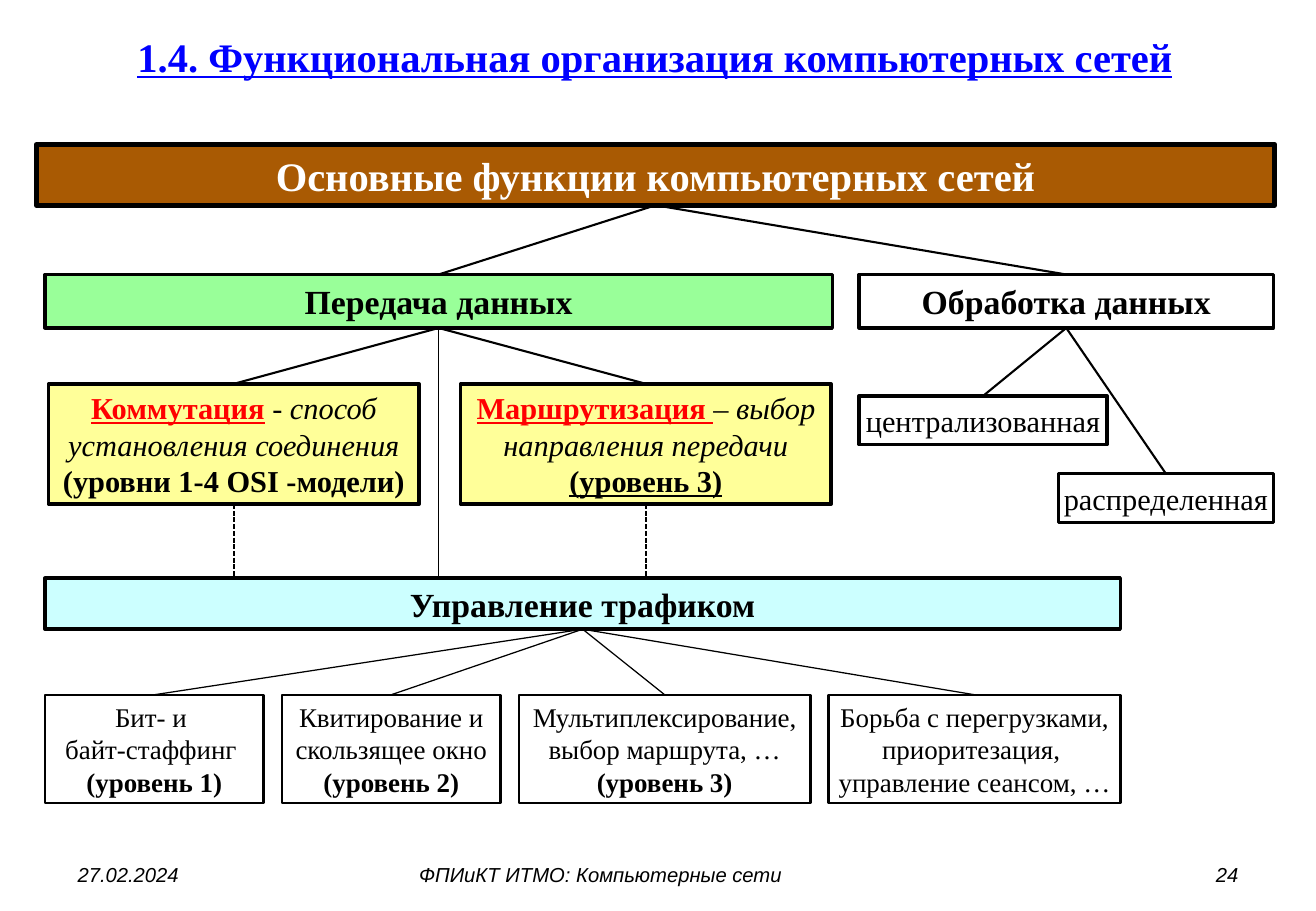
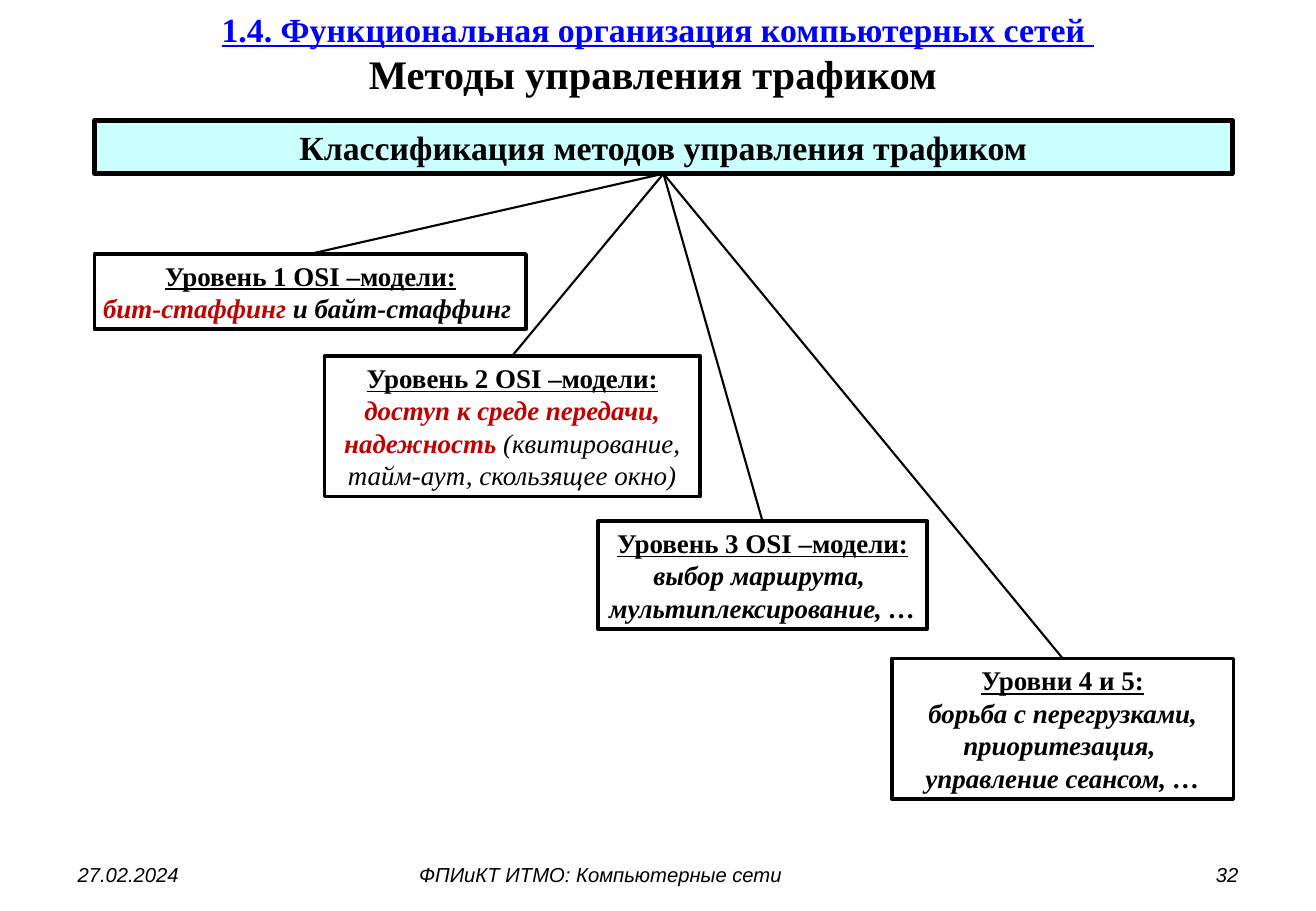
"""Builds two slides on the functional organisation of computer networks."""
from lxml.etree import SubElement
from pptx import Presentation
from pptx.dml.color import RGBColor
from pptx.enum.dml import MSO_LINE
from pptx.enum.shapes import MSO_CONNECTOR, MSO_SHAPE
from pptx.enum.text import MSO_ANCHOR, PP_ALIGN
from pptx.oxml.ns import qn
from pptx.util import Pt

PX = 9144
RECTANGLE = MSO_SHAPE.RECTANGLE
STRAIGHT = MSO_CONNECTOR.STRAIGHT
DASH = MSO_LINE.SQUARE_DOT
MIDDLE = MSO_ANCHOR.MIDDLE
LEFT, CENTER, RIGHT = PP_ALIGN.LEFT, PP_ALIGN.CENTER, PP_ALIGN.RIGHT
SERIF, SANS = "Times New Roman", "Arial"
color = RGBColor.from_string
BLACK, WHITE, BLUE, RED, DARK_RED = "000000", "FFFFFF", "0000FF", "FF0000", "C00000"
BROWN, GREEN, YELLOW, CYAN = "A95A03", "99FF99", "FFFF99", "CCFFFF"
SECTION = "1.4. Функциональная организация компьютерных сетей"


def box(slide, area, paragraphs, size=16, fill=None, line=0, align=CENTER,
        font=SERIF, inset=(4, 4)):
    """Adds text made of (text, style letters, colour) runs, framed if line is set."""
    area = [value * PX for value in area]
    if line:
        shape = slide.shapes.add_shape(RECTANGLE, *area)
        shape.shadow.inherit = False
        shape.line.color.rgb = color(BLACK)
        shape.line.width = Pt(line)
        if fill:
            shape.fill.solid()
            shape.fill.fore_color.rgb = color(fill)
        else:
            shape.fill.background()
    else:
        shape = slide.shapes.add_textbox(*area)
    frame = shape.text_frame
    frame.word_wrap = True
    frame.vertical_anchor = MIDDLE
    frame.margin_left = frame.margin_right = inset[0] * PX
    frame.margin_top = frame.margin_bottom = inset[1] * PX
    for index, runs in enumerate(paragraphs):
        paragraph = frame.add_paragraph() if index else frame.paragraphs[0]
        paragraph.alignment = align
        for text, style, ink in runs:
            run = paragraph.add_run()
            run.text = text
            run.font.name = font
            run.font.size = Pt(size)
            run.font.bold = "b" in style
            run.font.italic = "i" in style
            run.font.underline = "u" in style
            run.font.color.rgb = color(ink)
            if "+" in style:
                run.font.size = Pt(24)
    return shape


def link(slide, parent, child, width=1.25, vertical=False, dash=None):
    """Joins the bottom of the parent to the top of the child."""
    start = parent.left + parent.width // 2
    end = start if vertical else child.left + child.width // 2
    connector = slide.shapes.add_connector(
        STRAIGHT, start, parent.top + parent.height, end, child.top)
    connector.line.color.rgb = color(BLACK)
    connector.line.width = Pt(width)
    if dash:
        connector.line.dash_style = dash
    SubElement(connector._element.spPr, qn("a:effectLst"))


deck = Presentation()
deck.slide_width, deck.slide_height = 1083 * PX, 750 * PX
functions_slide, methods_slide = [
    deck.slides.add_slide(deck.slide_layouts[6]) for _ in range(2)]

for slide, number in ((functions_slide, "24"), (methods_slide, "32")):
    for left, width, text, align in (
            (54, 253, "27.02.2024", LEFT),
            (335, 428, "ФПИиКТ ИТМО: Компьютерные сети", LEFT),
            (776, 253, number, RIGHT)):
        box(slide, (left, 705, width, 30), [[(text, "i", BLACK)]], size=12,
            align=align, font=SANS, inset=(10, 5))

box(functions_slide, (74, 9, 930, 75), [[(SECTION, "bu", BLUE)]], size=24)
root = box(functions_slide, (30, 119, 1019, 50),
           [[("Основные функции компьютерных сетей", "b", WHITE)]],
           size=24, fill=BROWN, line=3)
transfer = box(functions_slide, (37, 226, 648, 44),
               [[("Передача данных", "b", BLACK)]], size=20, fill=GREEN, line=2)
processing = box(functions_slide, (707, 226, 341, 44),
                 [[("Обработка данных", "b", BLACK)]], size=20, line=2)
for branch in (transfer, processing):
    link(functions_slide, root, branch)

for area, text in (((707, 326, 204, 40), "централизованная"),
                   ((871, 390, 177, 40), "распределенная")):
    kind = box(functions_slide, area, [[(text, "", BLACK)]],
               size=18, line=2, inset=(2, 5))
    link(functions_slide, processing, kind)

traffic = box(functions_slide, (37, 476, 885, 42),
              [[("Управление трафиком", "b", BLACK)]], size=20, fill=CYAN, line=2)
link(functions_slide, transfer, traffic, width=1, vertical=True)
for left, term, meaning, level, level_style in (
        (40, "Коммутация", " - способ установления соединения",
         "(уровни 1-4 OSI -модели)", "b"),
        (379, "Маршрутизация ", "– выбор направления передачи",
         "(уровень 3)", "bu")):
    task = box(functions_slide, (left, 316, 305, 99),
               [[(term, "bu", RED), (meaning, "i", BLACK)],
                [(level, level_style, BLACK)]], size=18, fill=YELLOW, line=2)
    link(functions_slide, transfer, task)
    link(functions_slide, task, traffic, width=1, vertical=True, dash=DASH)

left = 37
for width, lines in (
        (180, (("Бит- и ", ""), ("байт-стаффинг ", ""), ("(уровень 1)", "b"))),
        (180, (("Квитирование и", ""), ("скользящее окно", ""), ("(уровень 2)", "b"))),
        (240, (("Мультиплексирование,", ""), ("выбор маршрута, …", ""),
               ("(уровень 3)", "b"))),
        (240, (("Борьба с перегрузками, приоритезация, ", ""),
               ("управление сеансом, …", "")))):
    method = box(functions_slide, (left, 572, width, 89),
                 [[(text, style, BLACK)] for text, style in lines],
                 fill=WHITE, line=1.5)
    link(functions_slide, traffic, method, width=0.75)
    left += width + 15

box(methods_slide, (118, 6, 847, 76),
    [[(SECTION + " ", "bu", BLUE)], [("Методы управления трафиком ", "b+", BLACK)]],
    size=20)
classification = box(methods_slide, (78, 99, 936, 44),
                     [[("Классификация методов управления трафиком", "b", BLACK)]],
                     size=20, fill=CYAN, line=3)
for area, heading, details in (
        ((78, 209, 355, 62), "Уровень 1 OSI –модели:",
         [[("бит-стаффинг ", "bi", DARK_RED), ("и байт-стаффинг ", "bi", BLACK)]]),
        ((267, 293, 309, 116), "Уровень 2 OSI –модели:",
         [[("доступ к среде передачи,", "bi", DARK_RED)],
          [("надежность ", "bi", DARK_RED), ("(квитирование,", "i", BLACK)],
          [("тайм-аут, скользящее окно)", "i", BLACK)]]),
        ((492, 429, 271, 89), "Уровень 3 OSI –модели:",
         [[("выбор маршрута, ", "bi", BLACK)],
          [("мультиплексирование, …", "bi", BLACK)]]),
        ((734, 542, 281, 116), "Уровни 4 и 5:",
         [[("борьба с перегрузками, приоритезация, ", "bi", BLACK)],
          [("управление сеансом, …", "bi", BLACK)]])):
    level = box(methods_slide, area, [[(heading, "bu", BLACK)]] + details,
                fill=WHITE, line=2)
    link(methods_slide, classification, level)

deck.save("out.pptx")
